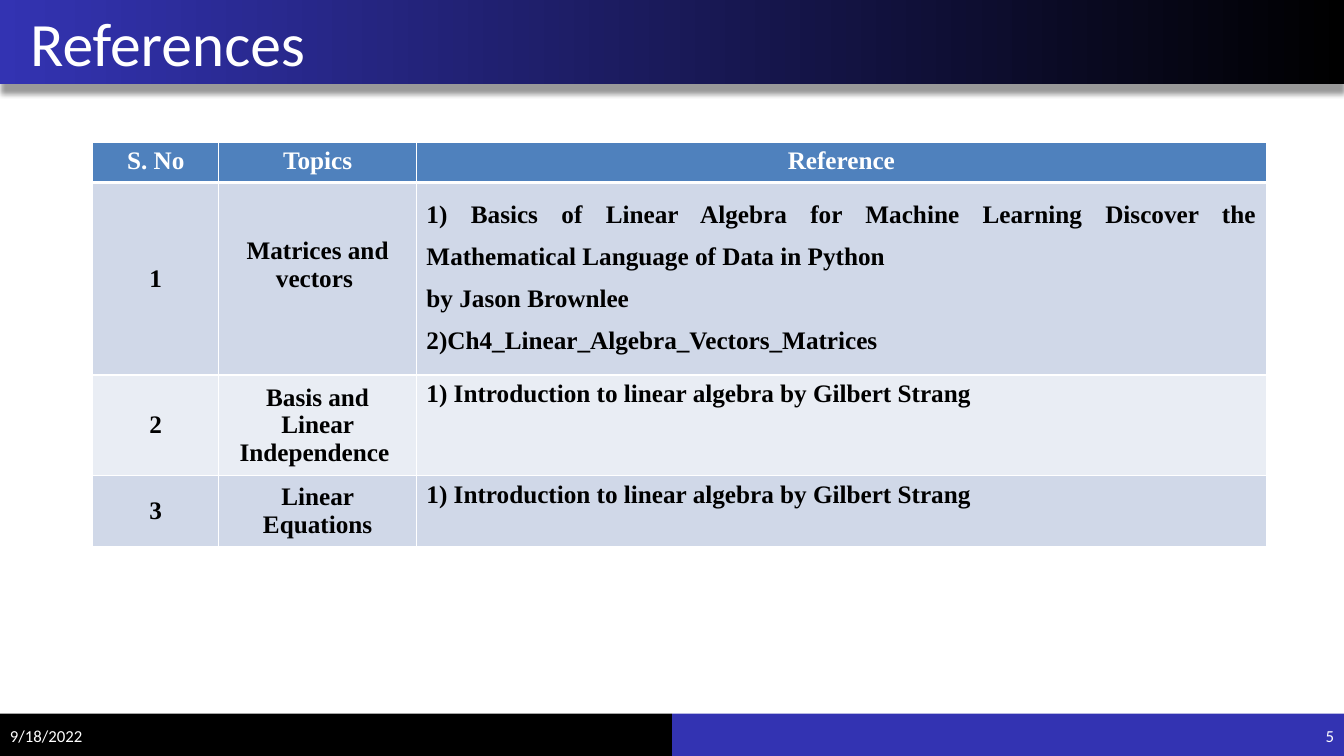
from lxml.etree import SubElement
from pptx import Presentation
from pptx.dml.color import RGBColor
from pptx.enum.shapes import MSO_SHAPE
from pptx.enum.text import MSO_ANCHOR as ANCHOR, PP_ALIGN as ALIGN
from pptx.oxml import parse_xml
from pptx.oxml.ns import nsdecls, qn
from pptx.util import Inches, Pt

WHITE = RGBColor(0xFF, 0xFF, 0xFF)
BLACK = RGBColor(0x00, 0x00, 0x00)
INDIGO = RGBColor(0x33, 0x33, 0xB2)
HEADER_BLUE = RGBColor(0x4F, 0x81, 0xBD)
BANDS = [RGBColor(0xD0, 0xD8, 0xE8), RGBColor(0xE9, 0xED, 0xF4)]

SLIDE_W, SLIDE_H = 13.33, 7.5
COLUMN_WIDTHS = [1.25, 1.96, 8.43]
ROW_HEIGHTS = [0.38, 1.91, 0.93, 0.65]
COLUMN_ALIGNS = [ALIGN.CENTER, ALIGN.CENTER, ALIGN.JUSTIFY]
STRANG = "1) Introduction to linear algebra by Gilbert Strang"
REFERENCES = [
    ["S. No", "Topics", "Reference"],
    ["1", "Matrices and vectors ",
     "1) Basics of Linear Algebra for Machine Learning Discover the "
     "Mathematical Language of Data in Python \n"
     "by Jason Brownlee \n2)Ch4_Linear_Algebra_Vectors_Matrices"],
    ["2", "Basis and Linear Independence ", STRANG],
    ["3", "Linear Equations", STRANG],
]

LABEL = {"name": "Calibri", "size": Pt(12)}
TITLE = {"name": "Calibri", "size": Pt(44)}
CELL = {"name": "Times New Roman", "size": Pt(18), "bold": True}


def apply_format(font, formats, color):
    for attribute, value in formats.items():
        setattr(font, attribute, value)
    font.color.rgb = color


def add_bar(slide, left, top, width, height, color=None):
    bar = slide.shapes.add_shape(MSO_SHAPE.RECTANGLE, Inches(left), Inches(top),
                                 Inches(width), Inches(height))
    bar.shadow.inherit = False
    bar.line.fill.background()
    if color is not None:
        bar.fill.solid()
        bar.fill.fore_color.rgb = color
    return bar


def add_label(slide, text, left, top, width, height, formats,
              align=ALIGN.LEFT, inset=0.1):
    label = slide.shapes.add_textbox(Inches(left), Inches(top),
                                     Inches(width), Inches(height))
    frame = label.text_frame
    frame.word_wrap = True
    frame.vertical_anchor = ANCHOR.MIDDLE
    frame.margin_left = Inches(inset)
    paragraph = frame.paragraphs[0]
    paragraph.text = text
    paragraph.alignment = align
    apply_format(paragraph.font, formats, WHITE)


def add_title_band(slide, left, top, width, height):
    band = add_bar(slide, left, top, width, height)
    band.fill.gradient()
    band.fill.gradient_angle = 0
    for stop, color in zip(band.fill.gradient_stops, [INDIGO, BLACK]):
        stop.color.rgb = color
    effects = band._element.spPr.find(qn("a:effectLst"))
    effects.append(parse_xml(
        f'<a:outerShdw {nsdecls("a")} blurRad="{Pt(4)}" dist="{Pt(7)}" '
        'dir="5400000" algn="t" rotWithShape="0"><a:srgbClr val="000000">'
        '<a:alpha val="40000"/></a:srgbClr></a:outerShdw>'))
    add_label(slide, "References", left, top, width - 0.33, height, TITLE, inset=0.3)


def add_footer(slide, left, top, width, height):
    half = width / 2
    add_bar(slide, left + half, top, half, height, INDIGO)
    add_bar(slide, left, top, half, height, BLACK)
    label_w = 1.56
    label_box = (top + 0.02, label_w, height - 0.02, LABEL)
    add_label(slide, "9/18/2022", left, *label_box)
    add_label(slide, "5", left + width - label_w, *label_box, align=ALIGN.RIGHT)


def set_borders(cell, widths):
    properties = cell._tc.get_or_add_tcPr()
    for side, width in widths.items():
        line = SubElement(properties, qn(f"a:ln{side}"), w=str(Pt(width)))
        solid = SubElement(line, qn("a:solidFill"))
        SubElement(solid, qn("a:srgbClr"), val=str(WHITE))


def add_reference_table(slide, left, top, width, height):
    table = slide.shapes.add_table(len(REFERENCES), len(COLUMN_WIDTHS),
                                   Inches(left), Inches(top),
                                   Inches(width), Inches(height)).table
    for column, column_width in zip(table.columns, COLUMN_WIDTHS):
        column.width = Inches(column_width)
    for row, row_height in zip(table.rows, ROW_HEIGHTS):
        row.height = Inches(row_height)
    for row_index, entries in enumerate(REFERENCES):
        is_header = row_index == 0
        for column_index, entry in enumerate(entries):
            cell = table.cell(row_index, column_index)
            set_borders(cell, {"L": 1, "R": 1, "T": 3 if row_index == 1 else 1,
                               "B": 3 if is_header else 1})
            cell.fill.solid()
            cell.fill.fore_color.rgb = (
                HEADER_BLUE if is_header else BANDS[(row_index - 1) % 2])
            centred = not is_header and column_index < 2
            cell.vertical_anchor = ANCHOR.MIDDLE if centred else ANCHOR.TOP
            cell.text = entry
            for paragraph in cell.text_frame.paragraphs:
                paragraph.alignment = (
                    ALIGN.CENTER if is_header else COLUMN_ALIGNS[column_index])
                if row_index == 1 and column_index == 2:
                    paragraph.line_spacing = 1.5
                apply_format(paragraph.font, CELL, WHITE if is_header else BLACK)
    table.cell(1, 1).margin_bottom = Inches(0.33)


def main():
    deck = Presentation()
    deck.slide_width, deck.slide_height = Inches(SLIDE_W), Inches(SLIDE_H)
    slide = deck.slides.add_slide(deck.slide_layouts[6])
    add_footer(slide, 0, 7.08, SLIDE_W, 0.42)
    add_title_band(slide, 0, 0, SLIDE_W, 0.83)
    add_reference_table(slide, 0.92, 1.41, sum(COLUMN_WIDTHS), sum(ROW_HEIGHTS))
    deck.save("out.pptx")


if __name__ == "__main__":
    main()
